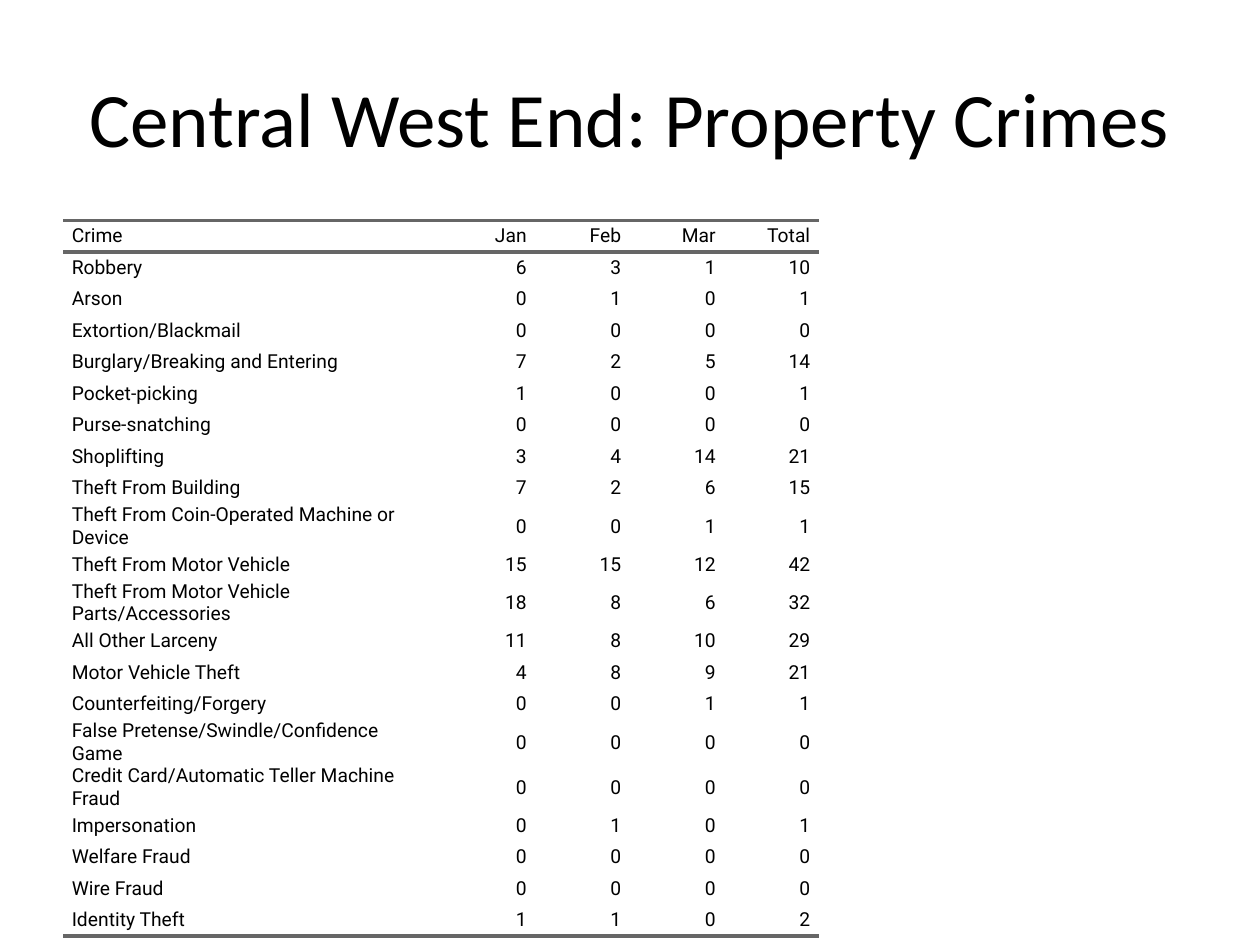
from lxml import etree
from pptx import Presentation
from pptx.dml.color import RGBColor
from pptx.enum.text import MSO_ANCHOR, PP_ALIGN
from pptx.oxml.ns import qn
from pptx.util import Inches, Pt

LEFT, CENTER, RIGHT = PP_ALIGN.LEFT, PP_ALIGN.CENTER, PP_ALIGN.RIGHT
MIDDLE = MSO_ANCHOR.MIDDLE
NO_STYLE = "{2D5ABB26-0587-4C30-8999-92F81FD0307C}"

HEADER = ("Crime", "Jan", "Feb", "Mar", "Total")
CRIMES = [
    ("Robbery", 6, 3, 1, 10),
    ("Arson", 0, 1, 0, 1),
    ("Extortion/Blackmail", 0, 0, 0, 0),
    ("Burglary/Breaking and Entering", 7, 2, 5, 14),
    ("Pocket-picking", 1, 0, 0, 1),
    ("Purse-snatching", 0, 0, 0, 0),
    ("Shoplifting", 3, 4, 14, 21),
    ("Theft From Building", 7, 2, 6, 15),
    ("Theft From Coin-Operated Machine or Device", 0, 0, 1, 1),
    ("Theft From Motor Vehicle", 15, 15, 12, 42),
    ("Theft From Motor Vehicle Parts/Accessories", 18, 8, 6, 32),
    ("All Other Larceny", 11, 8, 10, 29),
    ("Motor Vehicle Theft", 4, 8, 9, 21),
    ("Counterfeiting/Forgery", 0, 0, 1, 1),
    ("False Pretense/Swindle/Confidence Game", 0, 0, 0, 0),
    ("Credit Card/Automatic Teller Machine Fraud", 0, 0, 0, 0),
    ("Impersonation", 0, 1, 0, 1),
    ("Welfare Fraud", 0, 0, 0, 0),
    ("Wire Fraud", 0, 0, 0, 0),
    ("Identity Theft", 1, 1, 0, 2),
]


def rgb(color):
    return RGBColor.from_string(color)


def grid(units):
    """Length of a number of quarter-inch grid units."""
    return Inches(units * 0.25)


def write(tf, text, font, size, color, align=LEFT):
    tf.word_wrap = True
    p = tf.paragraphs[0]
    p.alignment = align
    r = p.add_run()
    r.text = str(text)
    r.font.name, r.font.size = font, Pt(size)
    r.font.color.rgb = rgb(color)


def add_border(cell, side, color, width):
    """Draw one side of a cell: lnT or lnB. Call before setting the fill."""
    ln = etree.SubElement(cell._tc.get_or_add_tcPr(), qn(f"a:{side}"), w=str(Pt(width)))
    fill = etree.SubElement(ln, qn("a:solidFill"))
    etree.SubElement(fill, qn("a:srgbClr"), val=color)


class Deck:
    ink, rule = "000000", "666666"
    title_font, body_font = "Calibri", "Roboto"

    def __init__(self, columns, rows):
        self.prs = Presentation()
        self.prs.slide_width, self.prs.slide_height = grid(columns), grid(rows)
        self.s = self.prs.slides.add_slide(self.prs.slide_layouts[6])

    def title(self, text, *box):
        tf = self.s.shapes.add_textbox(*map(grid, box)).text_frame
        tf.vertical_anchor = MIDDLE
        write(tf, text, self.title_font, 44, self.ink, CENTER)

    def table(self, rows, left, top, widths):
        """Ruled table with the header first; each row is one grid unit high."""
        sp = self.s.shapes.add_table(len(rows), len(widths), grid(left), grid(top),
                                     grid(sum(widths)), grid(len(rows)))
        table = sp.table
        table.first_row = table.horz_banding = False
        table._tbl.tblPr.find(qn("a:tableStyleId")).text = NO_STYLE
        for column, width in zip(table.columns, widths):
            column.width = grid(width)
        for i, row in enumerate(rows):
            sides = {0: ("lnT", "lnB"), len(rows) - 1: ("lnB",)}.get(i, ())
            for j, value in enumerate(row):
                self.cell(table.cell(i, j), value, RIGHT if j else LEFT, sides)

    def cell(self, cell, value, align, sides):
        cell.margin_top = cell.margin_bottom = 0
        cell.margin_left = cell.margin_right = Inches(0.07)
        cell.vertical_anchor = MIDDLE
        for side in sides:
            add_border(cell, side, self.rule, 2)
        cell.fill.background()
        write(cell.text_frame, value, self.body_font, 11, self.ink, align)


def main():
    deck = Deck(40, 30)
    deck.table([HEADER, *CRIMES], 2, 7, (12, 3, 3, 3, 3))
    deck.title("Central West End: Property Crimes", 2, 1.2, 36, 5)
    deck.prs.save("out.pptx")


if __name__ == "__main__":
    main()
